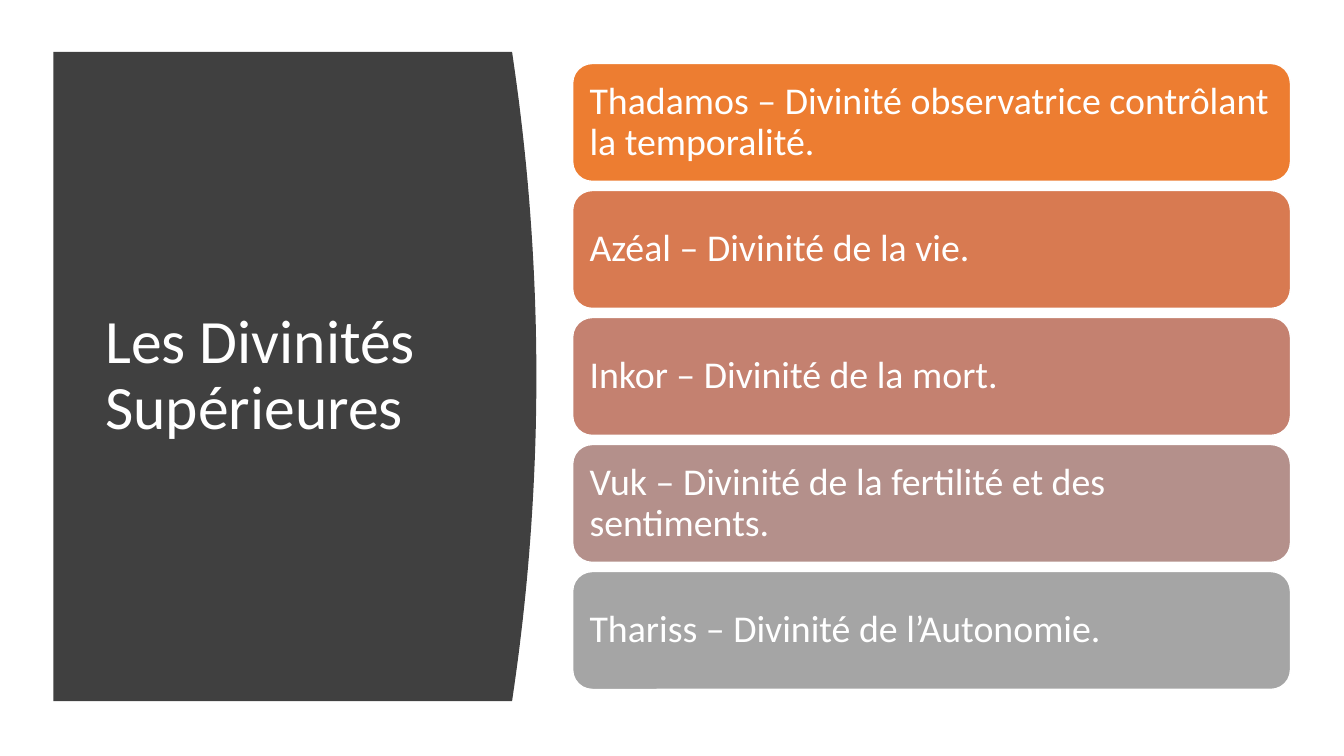
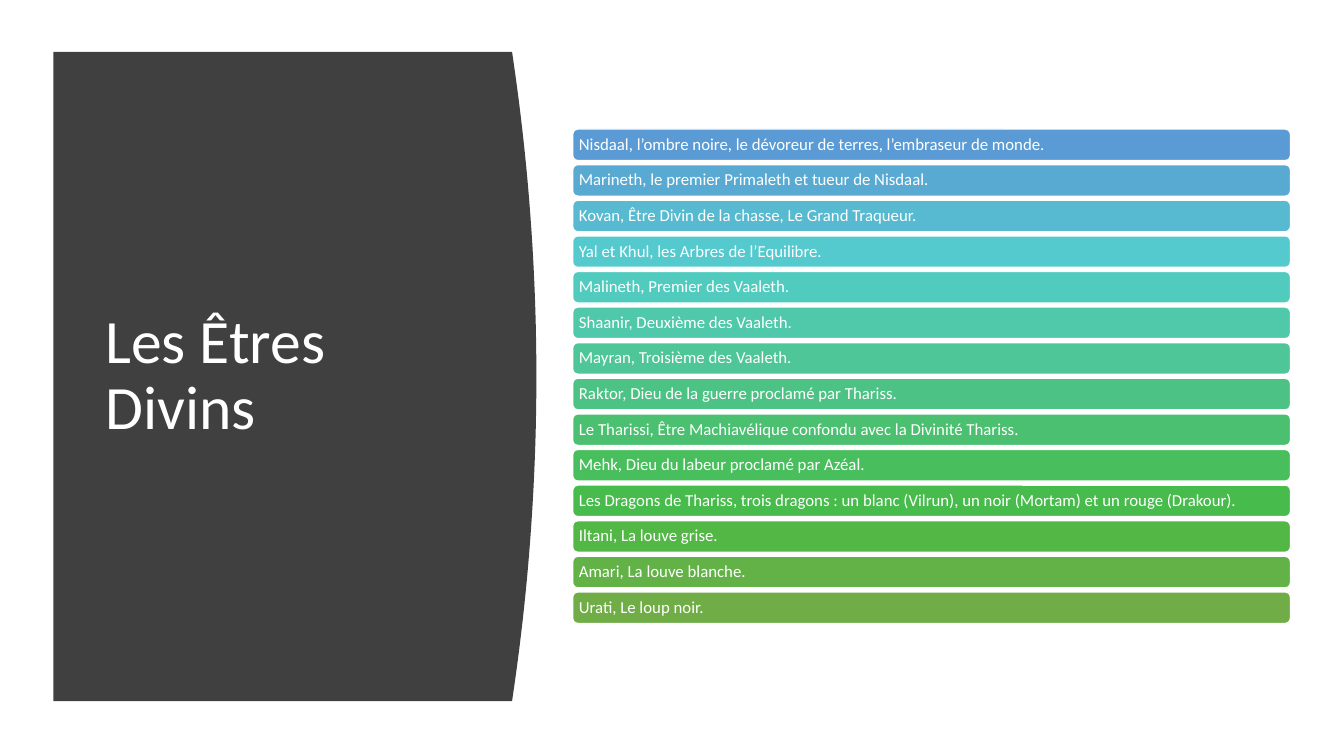
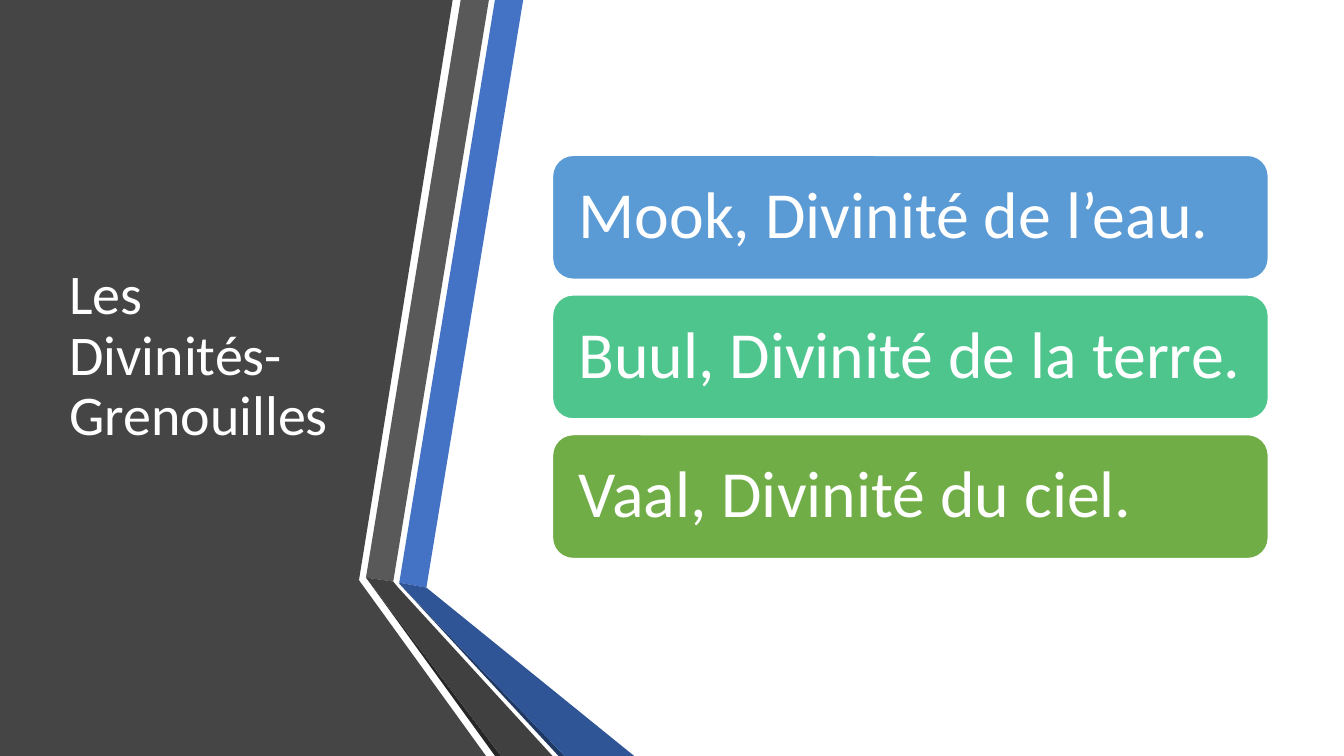
from pptx import Presentation
from pptx.dml.color import RGBColor
from pptx.enum.shapes import MSO_SHAPE
from pptx.enum.text import MSO_ANCHOR, PP_ALIGN
from pptx.util import Inches, Pt

ROUNDED = MSO_SHAPE.ROUNDED_RECTANGLE
MIDDLE = MSO_ANCHOR.MIDDLE
LEFT = PP_ALIGN.LEFT

WHITE = RGBColor(0xFF, 0xFF, 0xFF)
PANEL_GREY = RGBColor(0x40, 0x40, 0x40)
SIDE_GREY = RGBColor(0x45, 0x45, 0x45)
LIGHT_GREY = RGBColor(0x59, 0x59, 0x59)
FOLD_GREY = RGBColor(0x26, 0x26, 0x26)
BLUE = RGBColor(0x44, 0x72, 0xC4)
FOLD_BLUE = RGBColor(0x20, 0x38, 0x64)
DARK_BLUE = RGBColor(0x2F, 0x55, 0x97)
FONT = "Calibri"

deck = Presentation()
deck.slide_width = Inches(13.33)
deck.slide_height = Inches(7.5)

# The grid has 100 columns and 100 rows
COLUMN = deck.slide_width / 100
ROW = deck.slide_height / 100

# Curved panel: its right edge is a parabola
PANEL_LEFT, PANEL_TOP, PANEL_BOTTOM = 3.97, 6.88, 92.75
PANEL_EDGE, PANEL_BULGE = 38.1, 1.81
CURVE_STEPS = 40
curved_panel = [(PANEL_LEFT, PANEL_BOTTOM), (PANEL_LEFT, PANEL_TOP)]
for step in range(CURVE_STEPS + 1):
    share = step / CURVE_STEPS
    curved_panel.append((PANEL_EDGE + PANEL_BULGE * 4 * share * (1 - share),
                         PANEL_TOP + (PANEL_BOTTOM - PANEL_TOP) * share))
PANEL = [(PANEL_GREY, curved_panel)]

FOLDED_BANDS = [
    (SIDE_GREY, [(0, 0), (33.68, 0), (26.71, 76.75), (36.16, 100), (0, 100)]),
    (BLUE, [(29.71, 77.07), (31.73, 77.73), (38.93, 0), (36.83, 0)]),
    (LIGHT_GREY, [(36.38, 0), (34.28, 0), (27.23, 76.4), (29.26, 76.93)]),
    (FOLD_GREY, [(27.23, 76.4), (36.83, 100), (37.28, 100)]),
    (FOLD_BLUE, [(29.71, 77.2), (41.56, 100), (42.01, 100)]),
    (DARK_BLUE, [(29.71, 77.2), (42.01, 100), (47.19, 100),
                 (31.73, 77.73), (29.71, 77.07)]),
    (PANEL_GREY, [(41.11, 100), (29.63, 77.73), (29.26, 76.93),
                  (27.23, 76.4), (37.28, 100)]),
]

PANEL_TITLE = {"box": (7.1, 14.85, 28.05, 69.87), "size": 44}
BANDS_TITLE = {"box": (4.43, 10.05, 22.8, 74.4), "size": 40}

PAGES = [
    {
        "title": "Les Divinités Supérieures",
        "title_style": PANEL_TITLE,
        "outlines": PANEL,
        "first_bar": (42.61, 8.4, 53.41, 15.6),
        "pitch": 16.8, "inset": 0.83, "size": 27,
        "bars": [
            ("ED7D31", "Thadamos – Divinité observatrice contrôlant la temporalité."),
            ("D87A51", "Azéal – Divinité de la vie."),
            ("C48170", "Inkor – Divinité de la mort."),
            ("B4908B", "Vuk – Divinité de la fertilité et des sentiments."),
            ("A5A5A5", "Thariss – Divinité de l’Autonomie."),
        ],
    },
    {
        "title": "Les Êtres Divins",
        "title_style": PANEL_TITLE,
        "outlines": PANEL,
        "first_bar": (42.61, 17.07, 53.41, 4.18),
        "pitch": 4.71, "inset": 0.35, "size": 12,
        "bars": [
            ("5B9BD5", "Nisdaal, l’ombre noire, le dévoreur de terres, l’embraseur de monde."),
            ("59AAD3", "Marineth, le premier Primaleth et tueur de Nisdaal."),
            ("57BAD0", "Kovan, Être Divin de la chasse, Le Grand Traqueur."),
            ("54C9CE", "Yal et Khul, les Arbres de l’Equilibre."),
            ("52CBBF", "Malineth, Premier des Vaaleth."),
            ("50C9AB", "Shaanir, Deuxième des Vaaleth."),
            ("4EC697", "Mayran, Troisième des Vaaleth."),
            ("4CC384", "Raktor, Dieu de la guerre proclamé par Thariss."),
            ("4BC070", "Le Tharissi, Être Machiavélique confondu avec la Divinité Thariss."),
            ("49BE5D", "Mehk, Dieu du labeur proclamé par Azéal."),
            ("47BB4B", "Les Dragons de Thariss, trois dragons : un blanc (Vilrun), "
                       "un noir (Mortam) et un rouge (Drakour)."),
            ("53B746", "Iltani, La louve grise."),
            ("62B247", "Amari, La louve blanche."),
            ("70AD47", "Urati, Le loup noir."),
        ],
    },
    {
        "title": "Les Divinités-Grenouilles",
        "title_style": BANDS_TITLE,
        "outlines": FOLDED_BANDS,
        "first_bar": (41.11, 20.55, 53.26, 16.4),
        "pitch": 18.47, "inset": 1.48, "size": 47,
        "bars": [
            ("5B9BD5", "Mook, Divinité de l’eau."),
            ("4DC58D", "Buul, Divinité de la terre."),
            ("70AD47", "Vaal, Divinité du ciel."),
        ],
    },
]


def on_grid(left, top, *extent):
    """Turn column and row counts, in alternation, into slide lengths."""
    return [round(count * (ROW if index % 2 else COLUMN))
            for index, count in enumerate((left, top, *extent))]


def write_text(shape, text, size):
    frame = shape.text_frame
    frame.word_wrap = True
    frame.vertical_anchor = MIDDLE
    para = frame.paragraphs[0]
    para.alignment = LEFT
    para.line_spacing = 0.9
    span = para.add_run()
    span.text = text
    for name, value in {"name": FONT, "size": Pt(size)}.items():
        setattr(span.font, name, value)
    span.font.color.rgb = WHITE


for content in PAGES:
    page = deck.slides.add_slide(deck.slide_layouts[6])

    for colour, points in content["outlines"]:
        corners = [on_grid(*point) for point in points]
        builder = page.shapes.build_freeform(*corners[0])
        builder.add_line_segments(corners[1:], close=True)
        outline = builder.convert_to_shape()
        outline.shadow.inherit = False
        outline.fill.solid()
        outline.fill.fore_color.rgb = colour
        outline.line.fill.background()

    style = content["title_style"]
    title = page.shapes.add_textbox(*on_grid(*style["box"]))
    write_text(title, content["title"], style["size"])

    left, first_top, width, height = content["first_bar"]
    inset = round(content["inset"] * COLUMN)
    for index, (colour, text) in enumerate(content["bars"]):
        top = first_top + index * content["pitch"]
        bar = page.shapes.add_shape(ROUNDED, *on_grid(left, top, width, height))
        bar.shadow.inherit = False
        bar.fill.solid()
        bar.fill.fore_color.rgb = RGBColor.from_string(colour)
        bar.line.color.rgb = WHITE
        bar.line.width = Pt(1)
        for side in ("left", "top", "right", "bottom"):
            setattr(bar.text_frame, f"margin_{side}", inset)
        write_text(bar, text, content["size"])

deck.save("out.pptx")
